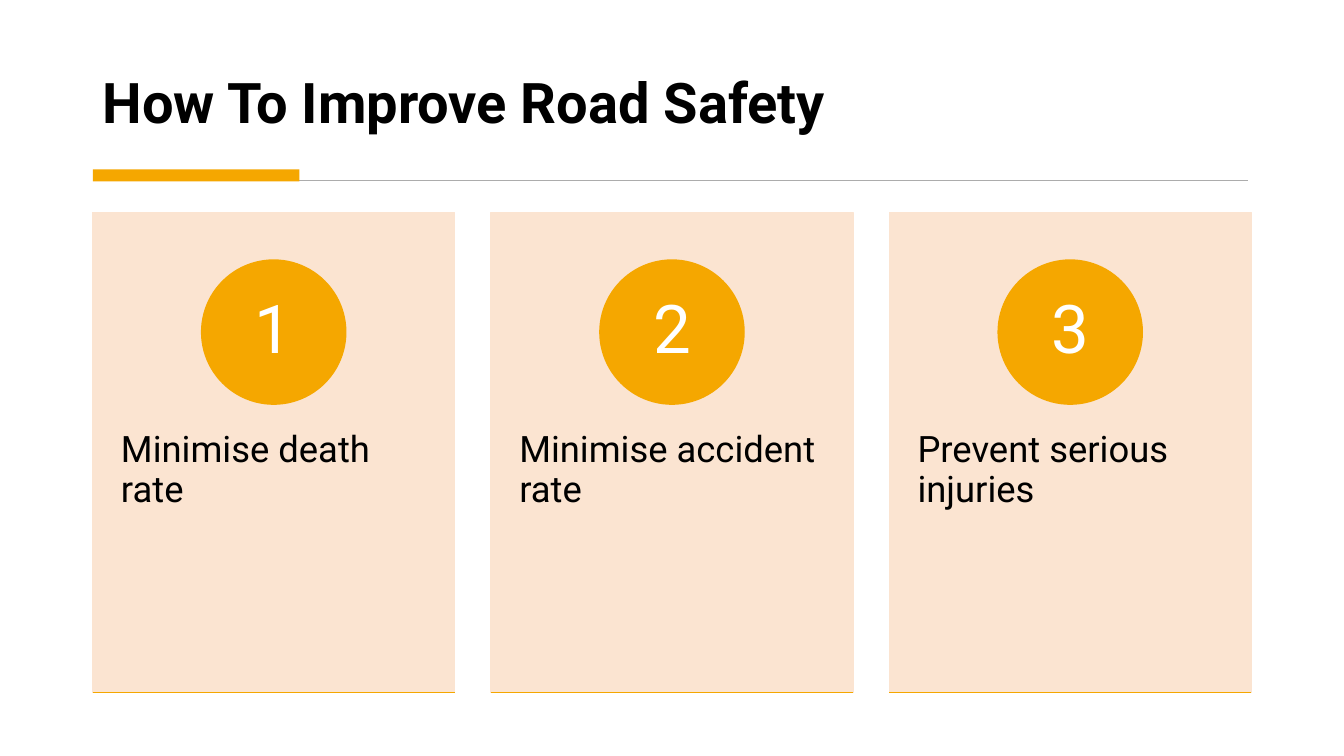
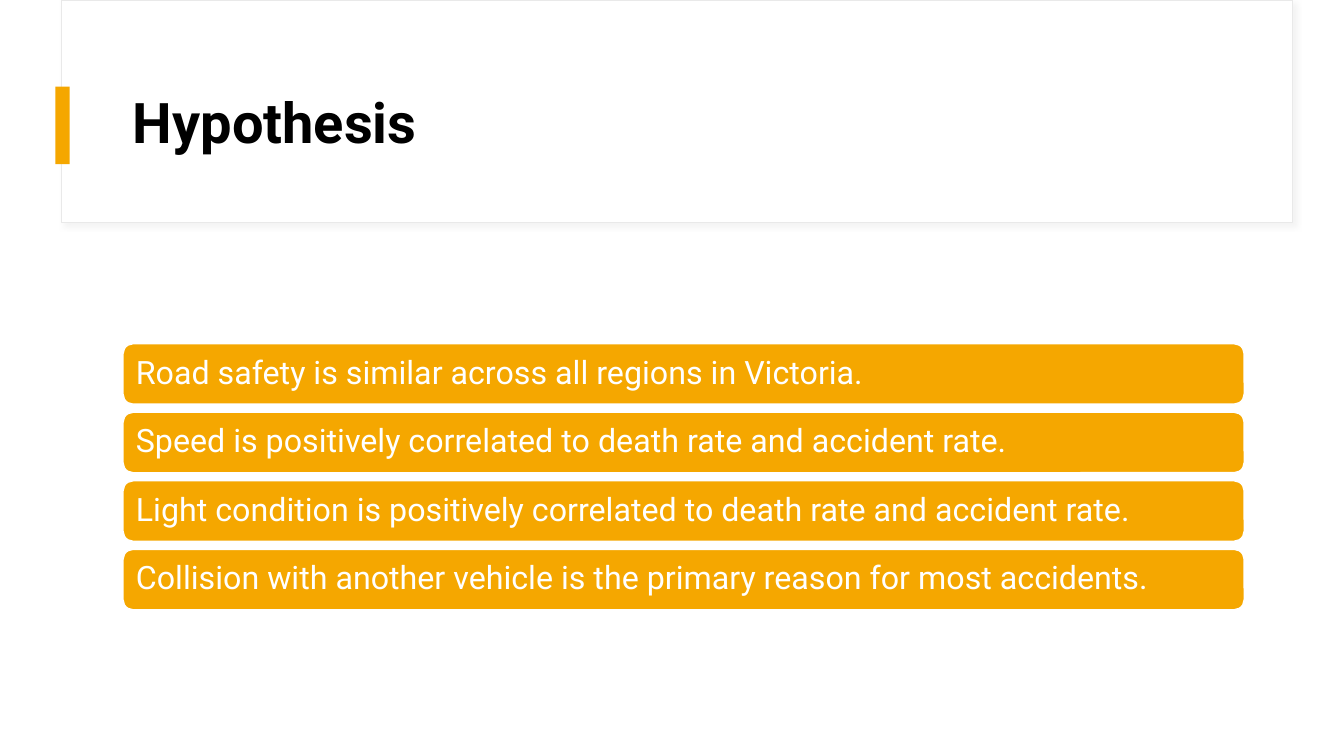
from lxml import etree
from pptx import Presentation
from pptx.dml.color import RGBColor
from pptx.enum.shapes import MSO_CONNECTOR, MSO_SHAPE
from pptx.enum.text import MSO_ANCHOR, PP_ALIGN
from pptx.oxml.ns import qn
from pptx.util import Inches, Pt

FONT = "Roboto"
ORANGE, PEACH, GREY = "F5A700", "FBE4D1", "ACACAC"
FRAME_LINE, SHADOW = "E9E9E9", "D9D9D9"
BLACK, WHITE = "000000", "FFFFFF"

GOALS = ["Minimise death rate", "Minimise accident rate", "Prevent serious injuries"]
HYPOTHESES = [
    "Road safety is similar across all regions in Victoria.",
    "Speed is positively correlated to death rate and accident rate.",
    "Light condition is positively correlated to death rate and accident rate.",
    "Collision with another vehicle is the primary reason for most accidents.",
]


def rgb(color):
    return RGBColor.from_string(color)


def add_box(slide, kind, left, top, width, height, fill, line=None, weight=1):
    sp = slide.shapes.add_shape(
        kind, Inches(left), Inches(top), Inches(width), Inches(height))
    sp.shadow.inherit = False
    sp.fill.solid()
    sp.fill.fore_color.rgb = rgb(fill)
    if line:
        sp.line.color.rgb = rgb(line)
        sp.line.width = Pt(weight)
    else:
        sp.line.fill.background()
    return sp


def add_rule(slide, left, top, width, color, weight):
    rule = slide.shapes.add_connector(
        MSO_CONNECTOR.STRAIGHT, Inches(left), Inches(top), Inches(left + width), Inches(top))
    rule.line.color.rgb = rgb(color)
    rule.line.width = Pt(weight)
    etree.SubElement(rule._element.spPr, qn("a:effectLst"))


def write(sp, text, size, color, anchor=MSO_ANCHOR.MIDDLE, align=PP_ALIGN.LEFT,
          insets=(0.1, 0.05, 0.1, 0.05), bold=False):
    """Set one paragraph; insets run left, top, right, bottom in inches."""
    tf = sp.text_frame
    tf.word_wrap = True
    tf.vertical_anchor = anchor
    tf.margin_left, tf.margin_top, tf.margin_right, tf.margin_bottom = map(Inches, insets)
    p = tf.paragraphs[0]
    p.text = text
    p.alignment = align
    p.line_spacing = 0.9
    font = p.runs[0].font
    font.name, font.size, font.bold = FONT, Pt(size), bold
    font.color.rgb = rgb(color)


def add_title(slide, text, left, top, width, height, anchor):
    sp = slide.shapes.add_textbox(Inches(left), Inches(top), Inches(width), Inches(height))
    write(sp, text, 40, BLACK, anchor, bold=True)


def add_soft_shadow(sp):
    effects = sp._element.spPr.find(qn("a:effectLst"))
    shadow = etree.SubElement(
        effects, qn("a:outerShdw"), blurRad=str(Pt(4)), dist=str(Pt(3)),
        dir="2700000", algn="tl", rotWithShape="0")
    color = etree.SubElement(shadow, qn("a:srgbClr"), val=SHADOW)
    etree.SubElement(color, qn("a:alpha"), val="30000")


def add_goal_card(slide, number, text, left, top, width, height):
    card = add_box(slide, MSO_SHAPE.RECTANGLE, left, top, width, height, PEACH, PEACH)
    write(card, text, 26, BLACK, MSO_ANCHOR.TOP, insets=(0.28, 2.17, 0.28, 0.36))
    size = 1.43
    badge = add_box(slide, MSO_SHAPE.OVAL, left + (width - size) / 2, top + 0.47,
                    size, size, ORANGE, ORANGE)
    write(badge, str(number), 48, WHITE, align=PP_ALIGN.CENTER, insets=(0.11, 0.01, 0.11, 0.01))
    add_rule(slide, left, top + height, width, ORANGE, 1)


def build_goals(slide):
    left, card_width, pitch = 0.92, 3.59, 3.95
    add_title(slide, "How To Improve Road Safety", left, 0.28, 11.49, 1.11, MSO_ANCHOR.BOTTOM)
    add_rule(slide, 0.95, 1.79, 11.43, GREY, 1.25)
    add_box(slide, MSO_SHAPE.RECTANGLE, left, 1.68, 2.05, 0.12, ORANGE)
    for i, goal in enumerate(GOALS):
        add_goal_card(slide, i + 1, goal, left + i * pitch, 2.11, card_width, 4.76)


def build_hypotheses(slide):
    left, width = 1.22, 11.12
    frame = add_box(slide, MSO_SHAPE.RECTANGLE, 0.61, 0, 12.21, 2.21, WHITE, FRAME_LINE, 0.75)
    add_soft_shadow(frame)
    add_box(slide, MSO_SHAPE.RECTANGLE, 0.55, 0.86, 0.14, 0.77, ORANGE)
    add_title(slide, "Hypothesis", left, 0.6, width, 1.29, MSO_ANCHOR.MIDDLE)
    for i, hypothesis in enumerate(HYPOTHESES):
        bar = add_box(slide, MSO_SHAPE.ROUNDED_RECTANGLE, left, 3.41 + i * 0.68,
                      width, 0.6, ORANGE, WHITE)
        write(bar, hypothesis, 23, WHITE)


def main():
    prs = Presentation()
    prs.slide_width, prs.slide_height = Inches(13.33), Inches(7.5)
    for build in (build_goals, build_hypotheses):
        build(prs.slides.add_slide(prs.slide_layouts[6]))
    prs.save("out.pptx")


if __name__ == "__main__":
    main()
